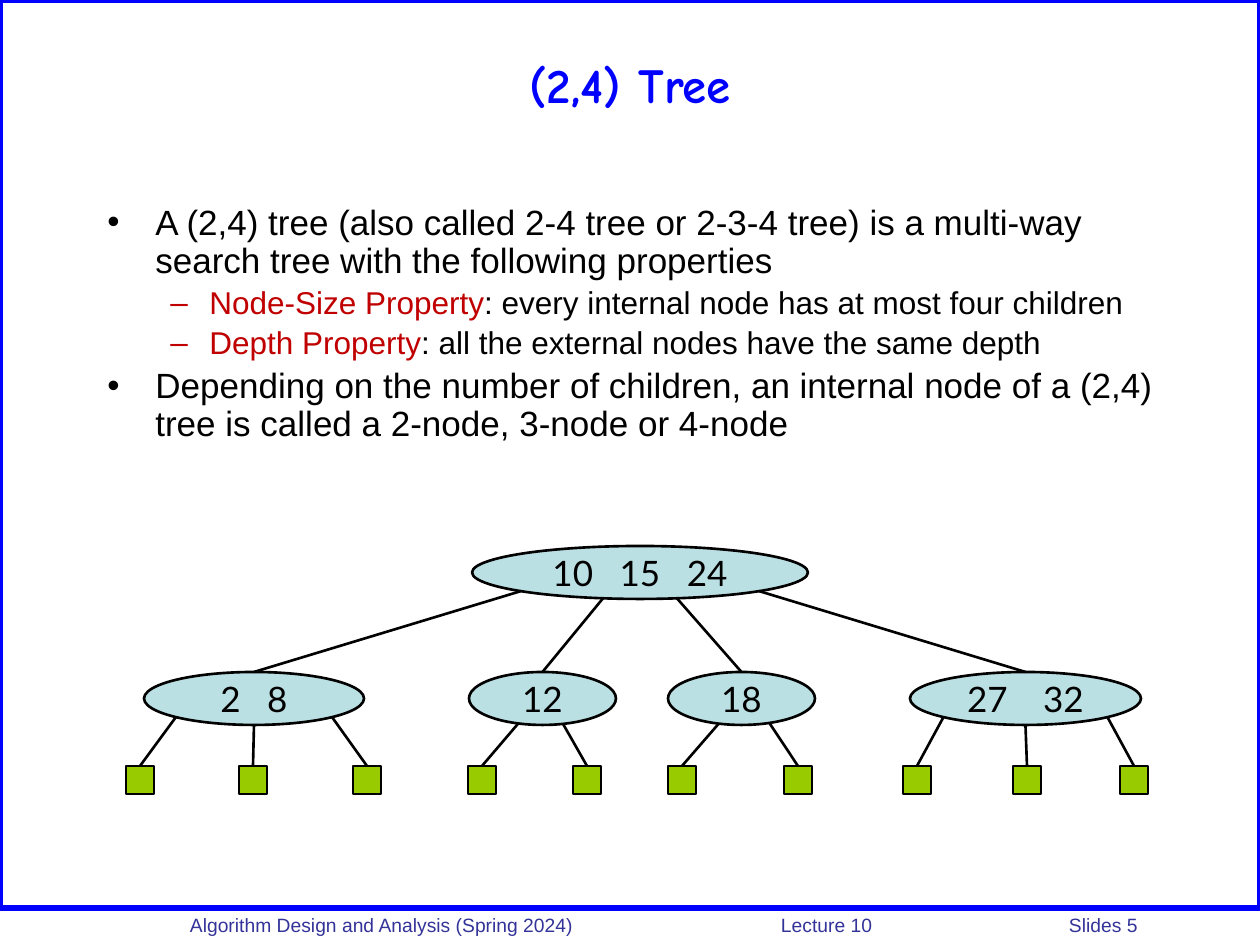
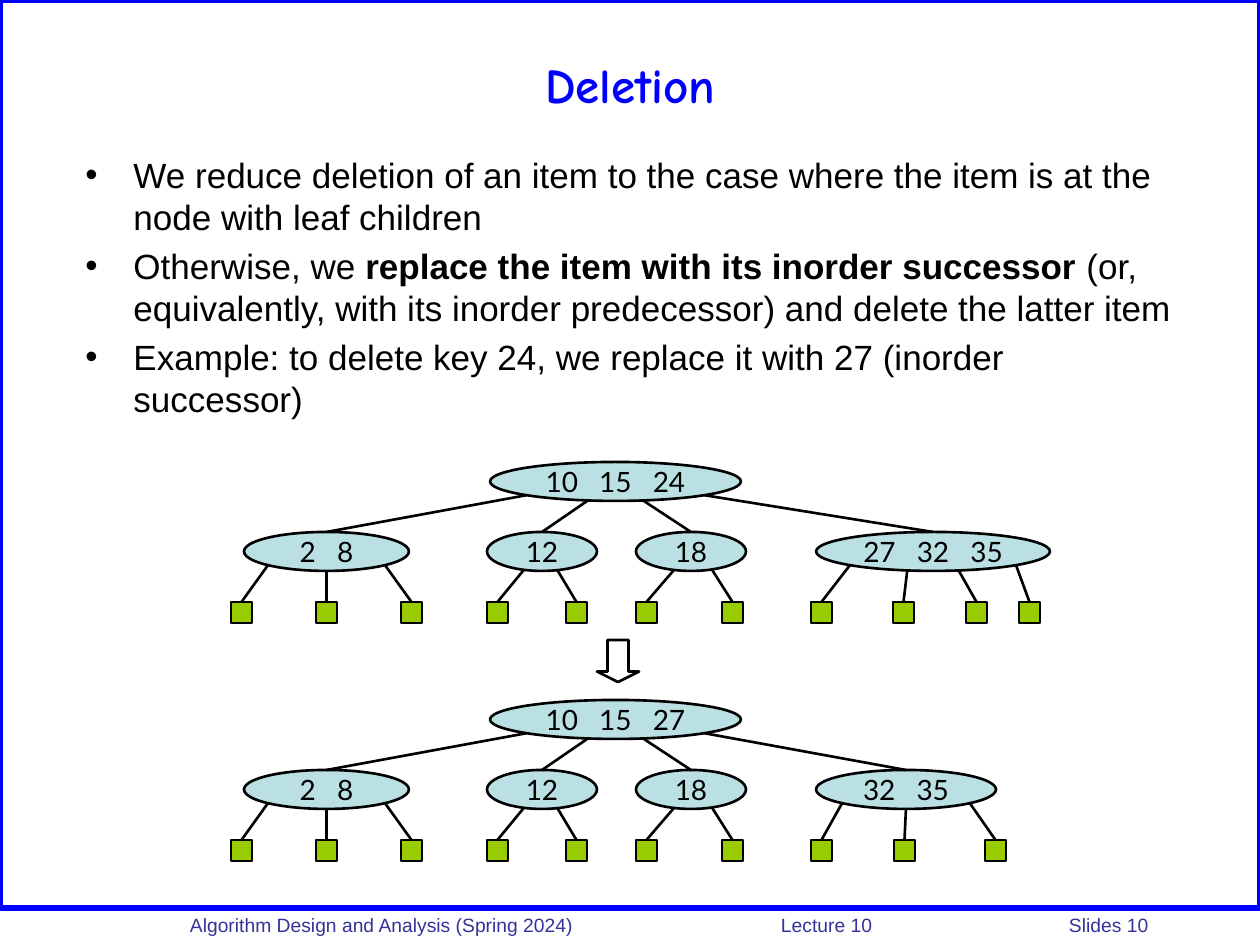
from dataclasses import dataclass
from math import sqrt

from lxml.etree import SubElement
from pptx import Presentation
from pptx.dml.color import RGBColor
from pptx.enum.shapes import MSO_CONNECTOR, MSO_SHAPE
from pptx.enum.text import MSO_ANCHOR, PP_ALIGN
from pptx.oxml.ns import qn
from pptx.util import Pt

# Shared style
PX = 914400 / 126
BLUE, FOOTER, BLACK, RED = "0000FF", "333399", "000000", "C00000"
NODE_FILL, LEAF_FILL = "BBE0E3", "99CC00"
BODY_FONT, TITLE_FONT, NODE_FONT = "Arial", "Comic Neue", "Lato"

# Where edges leave a node: offset from its centre, as a part of its half width
THREE = (-0.71, 0, 0.71)
FOUR = (-0.71, -0.22, 0.22, 0.71)
LEFT_PAIR, RIGHT_PAIR = (-0.33, 0.28), (-0.31, 0.38)


@dataclass
class Node:
    left: int
    width: int
    keys: str
    exits: tuple
    leaves: tuple = ()
    key_gap: float = 0.5  # extra space between keys, in ems


@dataclass
class TreeSize:
    node_height: int
    leaf_size: int
    font_size: int
    child_drop: int
    leaf_drop: int


def emu(px):
    return round(px * PX)


def color(value):
    return RGBColor.from_string(value)


class Deck:
    def __init__(self):
        self.prs = Presentation()
        self.prs.slide_width, self.prs.slide_height = emu(1260), emu(945)
        self.s = None

    def slide(self, title, number):
        self.s = self.prs.slides.add_slide(self.prs.slide_layouts[6])
        self.shape(MSO_SHAPE.RECTANGLE, 0, 0, 1260, 908, line=BLUE, weight=3)
        self.footer(number)
        tf = self.text_box(63, 21, 1134, 126)
        tf.vertical_anchor = MSO_ANCHOR.MIDDLE
        p = tf.paragraphs[0]
        p.alignment = PP_ALIGN.CENTER
        self.run(p, title, 28, BLUE, TITLE_FONT, bold=True)

    def footer(self, number):
        tf = self.text_box(190, 907, 1070, 33)
        tf.margin_left = 0
        p = tf.paragraphs[0]
        tabs = SubElement(p._p.get_or_add_pPr(), qn("a:tabLst"))
        for pos in (591, 879):
            SubElement(tabs, qn("a:tab"), pos=str(emu(pos)), algn="l")
        self.run(p, "Algorithm Design and Analysis (Spring 2024)\tLecture 10"
                    f"\tSlides {number}", 11, FOOTER)

    def text_box(self, x, y, w, h):
        tf = self.s.shapes.add_textbox(emu(x), emu(y), emu(w), emu(h)).text_frame
        tf.word_wrap = True
        return tf

    def run(self, p, text, size, rgb=BLACK, font=BODY_FONT, bold=False):
        r = p.add_run()
        r.text = text
        r.font.size, r.font.name, r.font.bold = Pt(size), font, bold
        r.font.color.rgb = color(rgb)
        return r

    def bullets(self, x, y, w, h, items, line_spacing=1.0):
        """Each item is a level and its runs: (text, colour, bold)."""
        tf = self.text_box(x, y, w, h)
        for i, (level, runs) in enumerate(items):
            p = tf.add_paragraph() if i else tf.paragraphs[0]
            size, indent, hang, mark = ((20, 48, 48, "•"), (18, 102, 39, "–"))[level]
            p.level = level
            p.line_spacing = line_spacing
            p.space_before = Pt(size * 0.2 if i else 0)
            pPr = p._p.get_or_add_pPr()
            pPr.set("marL", str(emu(indent)))
            pPr.set("indent", str(emu(-hang)))
            SubElement(pPr, qn("a:buFont"), typeface=BODY_FONT)
            SubElement(pPr, qn("a:buChar"), char=mark)
            for text, rgb, bold in runs:
                self.run(p, text, size, rgb, bold=bold)

    def shape(self, kind, x, y, w, h, fill=None, line=BLACK, weight=1.5):
        sp = self.s.shapes.add_shape(kind, emu(x), emu(y), emu(w), emu(h))
        sp.shadow.inherit = False
        if fill:
            sp.fill.solid()
            sp.fill.fore_color.rgb = color(fill)
        else:
            sp.fill.background()
        sp.line.color.rgb, sp.line.width = color(line), Pt(weight)
        return sp

    def edge(self, node, top, size, exit_at, target):
        """Line from the lower rim of a node to the top middle of a shape."""
        x = node.left + node.width / 2 * (1 + exit_at)
        y = top + size.node_height / 2 * (1 + sqrt(1 - exit_at ** 2))
        cn = self.s.shapes.add_connector(
            MSO_CONNECTOR.STRAIGHT, emu(x), emu(y), emu(x), emu(y))
        cn.end_connect(target, 0)
        cn.line.color.rgb, cn.line.width = color(BLACK), Pt(1.5)
        SubElement(cn._element.spPr, qn("a:effectLst"))

    def node(self, node, top, size):
        sp = self.shape(MSO_SHAPE.OVAL, node.left, top, node.width,
                        size.node_height, NODE_FILL)
        tf = sp.text_frame
        tf.word_wrap = False
        tf.vertical_anchor = MSO_ANCHOR.MIDDLE
        p = tf.paragraphs[0]
        p.alignment = PP_ALIGN.CENTER
        for i, key in enumerate(node.keys.split()):
            if i:
                gap = self.run(p, " ", size.font_size, font=NODE_FONT)
                spacing = round(node.key_gap * size.font_size * 100)
                gap.font._element.set("spc", str(spacing))
            self.run(p, key, size.font_size, font=NODE_FONT)
        return sp

    def tree(self, top, size, root, children):
        self.node(root, top, size)
        child_top = top + size.child_drop
        for exit_at, child in zip(root.exits, children):
            sp = self.node(child, child_top, size)
            self.edge(root, top, size, exit_at, sp)
            for leaf_exit, left in zip(child.exits, child.leaves):
                leaf = self.shape(MSO_SHAPE.RECTANGLE, left, top + size.leaf_drop,
                                  size.leaf_size, size.leaf_size, LEAF_FILL)
                self.edge(child, child_top, size, leaf_exit, leaf)


def tree_slide(deck):
    deck.slide("(2,4) Tree", 5)
    deck.bullets(95, 199, 1071, 315, [
        (0, [("A (2,4) tree (also called 2-4 tree or 2-3-4 tree) is a multi-way "
              "search tree with the following properties", BLACK, False)]),
        (1, [("Node-Size Property", RED, False),
             (": every internal node has at most four children", BLACK, False)]),
        (1, [("Depth Property", RED, False),
             (": all the external nodes have the same depth", BLACK, False)]),
        (0, [("Depending on the number of children, an internal node of a (2,4) "
              "tree is called a 2-node, 3-node or 4-node", BLACK, False)]),
    ], line_spacing=0.9)
    deck.tree(546, TreeSize(53, 28, 20, 126, 220),
              Node(472, 336, "10 15 24", FOUR), [
                  Node(144, 220, "2 8", THREE, (126, 239, 353)),
                  Node(469, 147, "12", LEFT_PAIR, (468, 573)),
                  Node(668, 147, "18", RIGHT_PAIR, (668, 784)),
                  Node(910, 231, "27 32", THREE, (903, 1013, 1120), 0.75)])


def deletion_slide(deck):
    deck.slide("Deletion", 10)
    deck.bullets(73, 147, 1113, 324, [
        (0, [("We reduce deletion of an item to the case where the item is at the "
              "node with leaf children", BLACK, False)]),
        (0, [("Otherwise, we ", BLACK, False),
             ("replace the item with its inorder successor", BLACK, True),
             (" (or, equivalently, with its inorder predecessor) and delete the "
              "latter item", BLACK, False)]),
        (0, [("Example: to delete key 24, we replace it with 27 (inorder "
              "successor)", BLACK, False)]),
    ])

    # Trees before and after the deletion differ in the root and last child
    size = TreeSize(39, 21, 16, 70, 140)
    unchanged = [Node(244, 165, "2 8", THREE, (231, 316, 401)),
                 Node(487, 110, "12", LEFT_PAIR, (487, 566)),
                 Node(636, 110, "18", RIGHT_PAIR, (636, 722))]
    before = Node(816, 234, "27 32 35", FOUR, (811, 893, 966, 1019))
    after = Node(816, 180, "32 35", THREE, (811, 894, 985))
    for top, keys, last in ((462, "10 15 24", before), (700, "10 15 27", after)):
        deck.tree(top, size, Node(490, 251, keys, FOUR), unchanged + [last])

    arrow = deck.shape(MSO_SHAPE.DOWN_ARROW, 597, 640, 42, 42)
    arrow.adjustments[0], arrow.adjustments[1] = 0.5, 0.25


def main():
    deck = Deck()
    tree_slide(deck)
    deletion_slide(deck)
    deck.prs.save("out.pptx")


if __name__ == "__main__":
    main()
